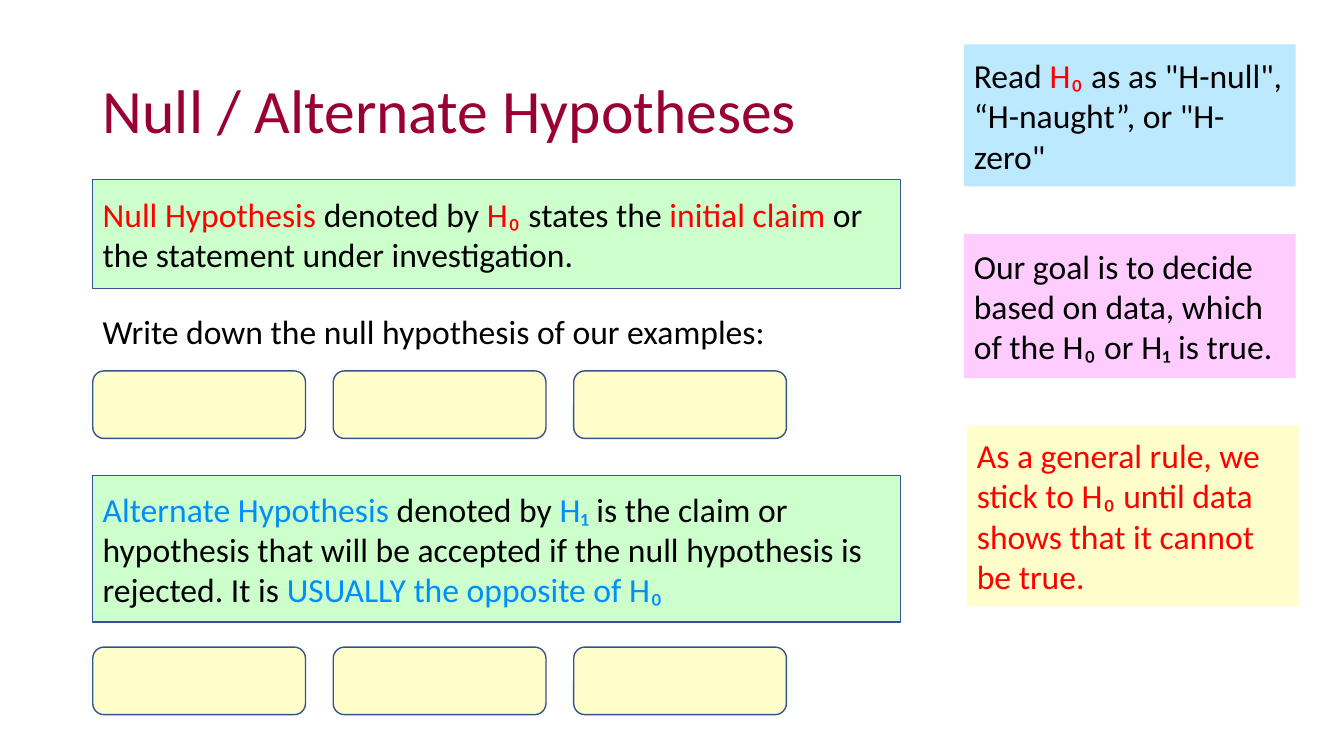
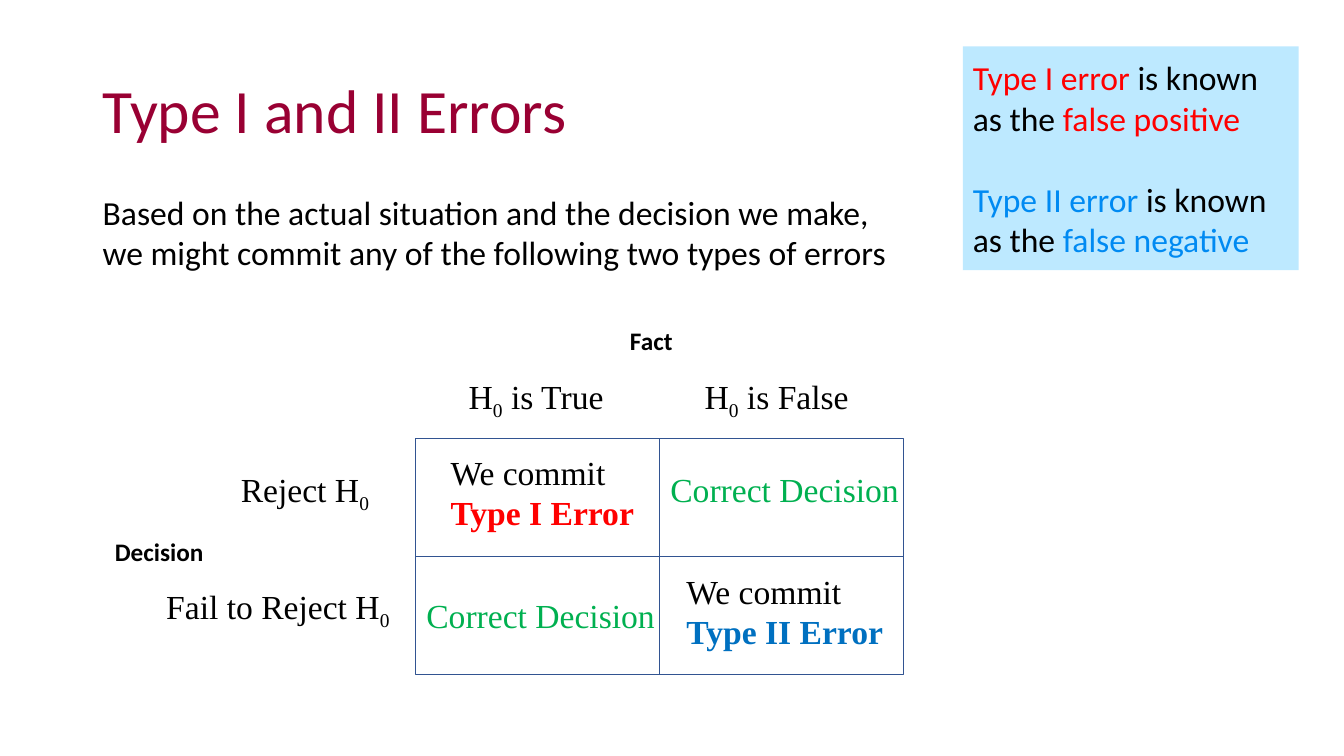
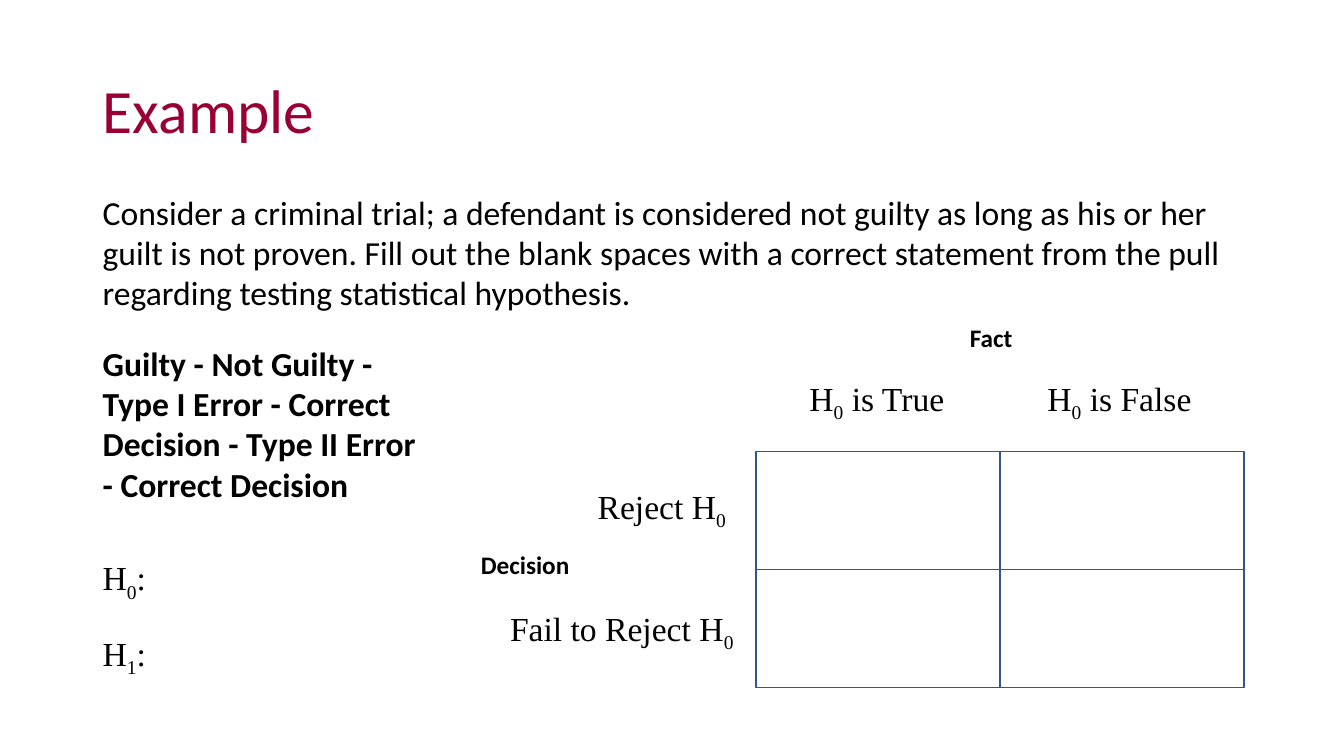
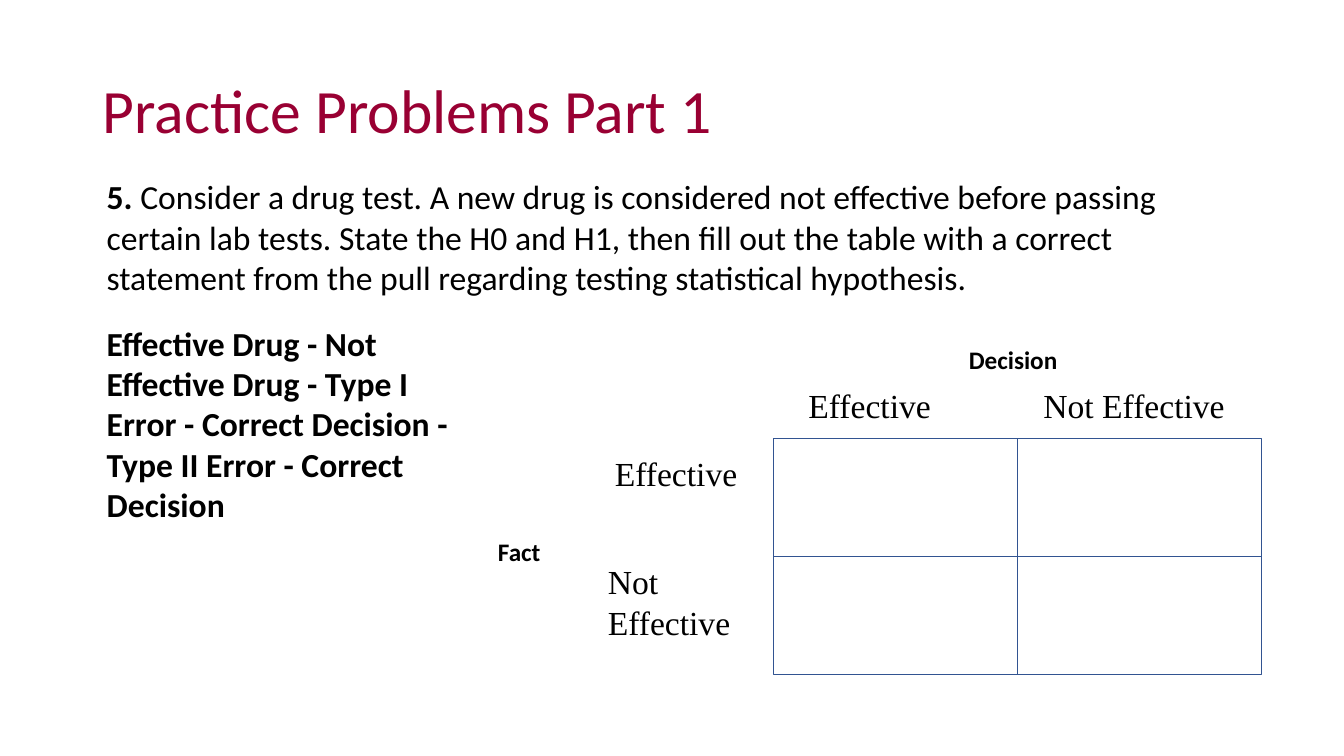
from pptx import Presentation
from pptx.dml.color import RGBColor
from pptx.enum.shapes import MSO_SHAPE
from pptx.enum.text import MSO_ANCHOR, MSO_AUTO_SIZE, PP_ALIGN
from pptx.util import Inches, Pt

COLORS = {
    "title": "990033", "text": "000000", "outline": "325491",
    "red": "FF0000", "sky": "008FFA", "azure": "008AF2",
    "blue": "0070C0", "leaf": "00B050",
    "green": "CCFFCC", "ice": "BDE9FF", "pink": "FFCCFF", "cream": "FFFFCC",
}
SANS, SERIF = "Calibri", "Times New Roman"
TITLE_ONLY = 5
MARGIN = 0.92
CELL_W, CELL_H = 2.42, 1.17
H0 = [("H", {}), ("0", {"sub": True})]
H1 = [("H", {}), ("1", {"sub": True})]


def rgb(name):
    return RGBColor.from_string(COLORS[name])


def plain(*lines, **style):
    """One single-run paragraph per line."""
    return [[(line, style)] for line in lines]


def write(frame, paragraphs, font=SANS, size=24, gap=0):
    """Fill a text frame; gap is the space between paragraphs in points."""
    for index, runs in enumerate(paragraphs):
        paragraph = frame.add_paragraph() if index else frame.paragraphs[0]
        paragraph.alignment = PP_ALIGN.LEFT
        if index and gap:
            paragraph.space_before = Pt(gap)
        for text, style in runs:
            run = paragraph.add_run()
            run.text = text
            run.font.name = font
            run.font.size = Pt(size)
            run.font.bold = style.get("bold", False)
            run.font.color.rgb = rgb(style.get("color", "text"))
            if style.get("sub"):
                run.font._element.set("baseline", "-25000")


def titled_slide(prs, title):
    slide = prs.slides.add_slide(prs.slide_layouts[TITLE_ONLY])
    holder = slide.shapes.title
    holder.left, holder.top = Inches(MARGIN), Inches(0.4)
    holder.width, holder.height = Inches(11.5), Inches(1.45)
    frame = holder.text_frame
    frame.vertical_anchor = MSO_ANCHOR.MIDDLE
    write(frame, plain(title, color="title"), size=44)
    frame.paragraphs[0].line_spacing = 0.9
    return slide


def text_box(slide, left, top, width, height, paragraphs, wrap=True, **fmt):
    box = slide.shapes.add_textbox(
        Inches(left), Inches(top), Inches(width), Inches(height))
    box.text_frame.word_wrap = wrap
    box.text_frame.auto_size = MSO_AUTO_SIZE.SHAPE_TO_FIT_TEXT
    write(box.text_frame, paragraphs, **fmt)


def label(slide, left, top, width, paragraphs):
    """Serif text on fixed lines, as tall as its paragraphs."""
    text_box(slide, left, top, width, 0.1 + 0.4 * len(paragraphs),
             paragraphs, wrap=False, font=SERIF)


def panel(slide, left, top, width, height, fill=None, outlined=False,
          paragraphs=(), kind=MSO_SHAPE.RECTANGLE, gap=0):
    shape = slide.shapes.add_shape(
        kind, Inches(left), Inches(top), Inches(width), Inches(height))
    shape.shadow.inherit = False
    if fill:
        shape.fill.solid()
        shape.fill.fore_color.rgb = rgb(fill)
    else:
        shape.fill.background()
    if outlined:
        shape.line.color.rgb = rgb("outline")
        shape.line.width = Pt(1)
    else:
        shape.line.fill.background()
    shape.text_frame.vertical_anchor = MSO_ANCHOR.MIDDLE
    write(shape.text_frame, paragraphs, gap=gap)


def answer_row(slide, left, top, count=3, width=2.11, pitch=2.385):
    for column in range(count):
        panel(slide, left + column * pitch, top, width, 0.67, "cream", True,
              kind=MSO_SHAPE.ROUNDED_RECTANGLE)


def decision_matrix(slide, left, top, axes, labels):
    """Two-by-two grid; axes and labels are offset from its top left corner."""
    for row in range(2):
        for column in range(2):
            panel(slide, left + column * CELL_W, top + row * CELL_H,
                  CELL_W, CELL_H, outlined=True)
    for dx, dy, width, name in axes:
        text_box(slide, left + dx, top + dy, width, 0.4,
                 plain(name, bold=True), wrap=False, size=18)
    for dx, dy, width, paragraphs in labels:
        label(slide, left + dx, top + dy, width, paragraphs)


def null_labels(header_y, false_x, reject, fail):
    """Labels for the two states of the null hypothesis and both decisions."""
    return [
        (0.43, header_y, 1.57, [H0 + [(" is True", {})]]),
        (false_x, header_y, 1.66, [H0 + [(" is False", {})]]),
        (*reject, 1.5, [[("Reject ", {})] + H0]),
        (*fail, 2.45, [[("Fail to Reject ", {})] + H0]),
    ]


def hypotheses_slide(prs):
    slide = titled_slide(prs, "Null / Alternate Hypotheses")
    red, sky = {"color": "red"}, {"color": "sky"}
    text_box(slide, MARGIN, 3.04, 8.01, 0.5,
             plain("Write down the null hypothesis of our examples:"))
    definitions = [
        (1.78, 1.08, 3.68, [
            ("Null Hypothesis ", red), ("denoted by ", {}), ("H₀", red),
            (" states the ", {}), ("initial claim ", red),
            ("or the statement under investigation.", {})]),
        (4.72, 1.45, 6.42, [
            ("Alternate Hypothesis ", sky), ("denoted by ", {}), ("H₁", sky),
            (" is the claim or hypothesis that will be accepted if the null "
             "hypothesis is rejected. It is ", {}),
            ("USUALLY the opposite of H₀", sky)]),
    ]
    for top, height, answers_top, runs in definitions:
        panel(slide, MARGIN, top, 8.01, height, "green", True, [runs])
        answer_row(slide, MARGIN, answers_top)
    notes = [
        (9.56, 0.44, 1.41, "ice", [[
            ("Read ", {}), ("H₀", red),
            (' as as "H-null", “H-naught”, or "H-zero"', {})]]),
        (9.56, 2.32, 1.43, "pink", plain(
            "Our goal is to decide based on data, which of the H₀ or H₁ is true.")),
        (9.59, 4.22, 1.79, "cream", plain(
            "As a general rule, we stick to H₀ until data shows that it cannot "
            "be true.", color="red")),
    ]
    for left, top, height, fill, paragraphs in notes:
        panel(slide, left, top, 3.29, height, fill, paragraphs=paragraphs)


def errors_slide(prs):
    slide = titled_slide(prs, "Type I and II Errors")
    text_box(slide, MARGIN, 1.85, 8.04, 0.91, plain(
        "Based on the actual situation and the decision we make, we might "
        "commit any of the following two types of errors"))

    def error(name, color):
        return plain("We commit") + plain(name, color=color, bold=True)

    correct = plain("Correct Decision", color="leaf")
    outcomes = [
        (0.25, 0.08, 2.04, error("Type I Error", "red")),
        (2.59, 1.26, 2.17, error("Type II Error", "blue")),
        (2.43, 0.25, 2.49, correct),
        (0.01, 1.5, 2.49, correct),
    ]
    decision_matrix(
        slide, 4.12, 4.35,
        [(2.03, -1.17, 0.73, "Fact"), (-3.08, 0.92, 1.25, "Decision")],
        null_labels(-0.67, 2.77, (-1.83, 0.25), (-2.57, 1.41)) + outcomes)
    known_as = [
        [(f"{name} error ", {"color": color}), ("is known as the ", {}),
         (alias, {"color": color})]
        for name, alias, color in (("Type I", "false positive", "red"),
                                   ("Type II", "false negative", "azure"))]
    panel(slide, 9.55, 0.46, 3.33, 2.22, "ice", paragraphs=known_as, gap=29)


def trial_slide(prs):
    slide = titled_slide(prs, "Example")
    text_box(slide, MARGIN, 1.85, 11.5, 1.31, plain(
        "Consider a criminal trial; a defendant is considered not guilty as "
        "long as his or her guilt is not proven. Fill out the blank spaces "
        "with a correct statement from the pull regarding testing statistical "
        "hypothesis."))
    decision_matrix(
        slide, 7.5, 4.48,
        [(2.02, -1.33, 0.73, "Fact"), (-2.83, 0.92, 1.25, "Decision")],
        null_labels(-0.78, 2.79, (-1.67, 0.29), (-2.54, 1.5)))
    text_box(slide, MARGIN, 3.35, 3.34, 1.72, plain(
        "Guilty - Not Guilty - Type I Error - Correct Decision - "
        "Type II Error - Correct Decision", bold=True))
    for top, width, hypothesis in ((5.48, 0.75, H0), (6.23, 0.73, H1)):
        label(slide, MARGIN, top, width, [hypothesis + [(":", {})]])


def drug_test_slide(prs):
    slide = titled_slide(prs, "Practice Problems Part 1")
    text_box(slide, 0.96, 1.7, 11.5, 1.31, [[
        ("5.", {"bold": True}),
        (" Consider a drug test. A new drug is considered not effective before "
         "passing certain lab tests. State the H0 and H1, then fill out the "
         "table with a correct statement from the pull regarding testing "
         "statistical hypothesis.", {})]])
    decision_matrix(
        slide, 7.67, 4.35,
        [(1.84, -0.98, 1.09, "Decision"), (-2.83, 0.92, 0.63, "Fact")],
        [(0.25, -0.58, 1.43, plain("Effective")),
         (2.58, -0.58, 2.02, plain("Not Effective")),
         (-1.67, 0.09, 1.43, plain("Effective")),
         (-1.74, 1.17, 1.43, plain("Not", "Effective"))])
    text_box(slide, 0.96, 3.15, 3.77, 2.12, plain(
        "Effective Drug - Not Effective Drug - Type I Error - Correct "
        "Decision - Type II Error - Correct Decision", bold=True))


def main():
    prs = Presentation()
    prs.slide_width, prs.slide_height = Inches(13.33), Inches(7.5)
    for build in (hypotheses_slide, errors_slide, trial_slide, drug_test_slide):
        build(prs)
    prs.save("out.pptx")


if __name__ == "__main__":
    main()
